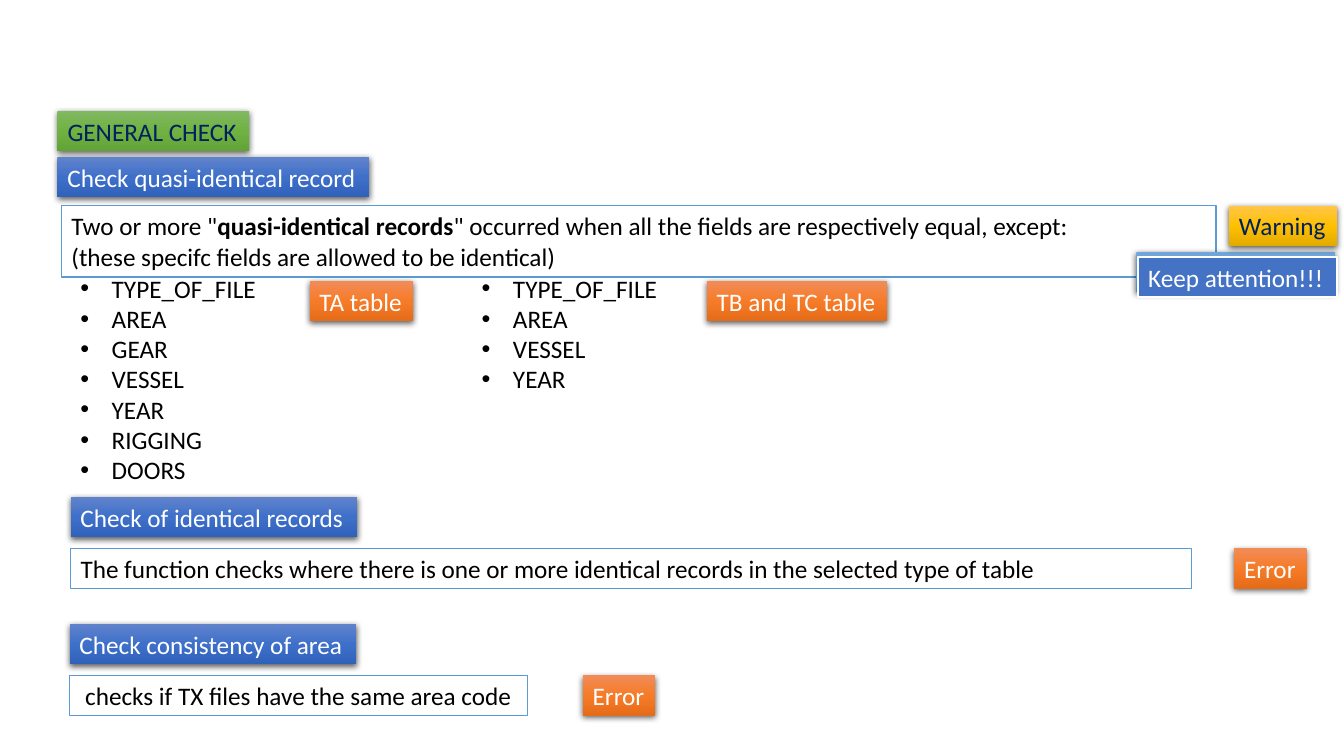
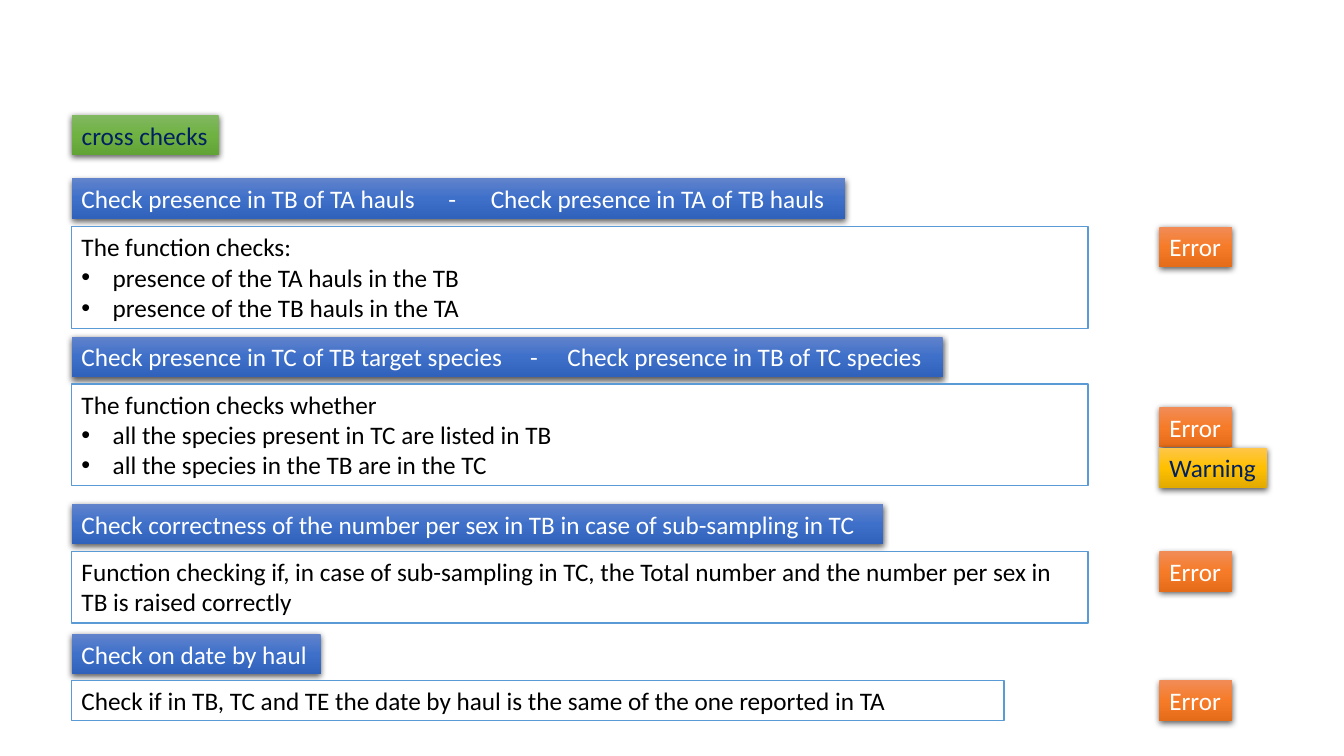
import dataclasses

import pptx
import pptx.dml.color
import pptx.enum.shapes
import pptx.enum.text
import pptx.oxml
import pptx.oxml.ns
import pptx.util
from lxml import etree

Inches = pptx.util.Inches
qn = pptx.oxml.ns.qn
RECT = pptx.enum.shapes.MSO_SHAPE.RECTANGLE


def rgb(value):
    return pptx.dml.color.RGBColor.from_string(value)


@dataclasses.dataclass(frozen=True)
class Theme:
    font: str = "Calibri"
    size: int = 18
    dark: str = "000000"
    navy: str = "002060"
    white: str = "FFFFFF"
    outline: str = "5B9BD5"
    notice: str = "4472C4"
    green: tuple = ("81B861", "6FB242", "62A336")
    blue: tuple = ("6183CB", "3E70CA", "3062BB")
    orange: tuple = ("F18C57", "F67B28", "E56C19")
    gold: tuple = ("FFC64B", "FFC000", "E3AB00")
    sky: tuple = ("71A6DB", "559BDB", "448ACA")
    row: float = 0.4
    indent: float = 0.31


class Deck:
    def __init__(self, theme):
        self.theme = theme
        self.prs = pptx.Presentation()
        self.prs.slide_width, self.prs.slide_height = Inches(13.33), Inches(7.5)
        self.s = None

    def slide(self, title, x, y, w):
        """Start a slide whose title is the green tag."""
        t = self.theme
        self.s = self.prs.slides.add_slide(self.prs.slide_layouts[5])
        sp = self.s.shapes.title
        sp.left, sp.top, sp.width, sp.height = map(Inches, (x, y, w, t.row))
        self.glossy(sp, t.green)
        self.set_text(sp, [title], color=t.navy)

    def rect(self, x, y, w, h):
        sp = self.s.shapes.add_shape(RECT, *map(Inches, (x, y, w, h)))
        sp.shadow.inherit = False
        return sp

    def glossy(self, sp, colors):
        """Fill from top to bottom with three colours and add a soft shadow."""
        sp.fill.gradient()
        sp.fill.gradient_angle = 270
        sp.line.fill.background()
        sp.shadow.inherit = False
        props = sp._element.spPr
        stops = props.find(qn("a:gradFill")).find(qn("a:gsLst"))
        for stop in list(stops):
            stops.remove(stop)
        for pos, color in zip((0, 50000, 100000), colors):
            stop = etree.SubElement(stops, qn("a:gs"), pos=str(pos))
            etree.SubElement(stop, qn("a:srgbClr"), val=color)
        shadow = etree.SubElement(
            props.find(qn("a:effectLst")), qn("a:outerShdw"),
            blurRad=str(pptx.util.Pt(4.5)), dist=str(pptx.util.Pt(1.5)),
            dir="5400000", algn="ctr", rotWithShape="0")
        black = etree.SubElement(shadow, qn("a:srgbClr"), val="000000")
        etree.SubElement(black, qn("a:alpha"), val="63000")

    def set_text(self, sp, lines, color=None, bullets_from=None, tabs=()):
        """Fill a shape; a line is text, or a list of (text, bold) pairs."""
        t = self.theme
        tf = sp.text_frame
        tf.word_wrap = True
        tf.auto_size = pptx.enum.text.MSO_AUTO_SIZE.NONE
        tf.vertical_anchor = pptx.enum.text.MSO_ANCHOR.TOP
        for i, line in enumerate(lines):
            p = tf.paragraphs[0] if i == 0 else tf.add_paragraph()
            p.alignment = pptx.enum.text.PP_ALIGN.LEFT
            p.line_spacing = 1.0
            p.space_before = pptx.util.Pt(0)
            props = p._p.get_or_add_pPr()
            if bullets_from is not None and i >= bullets_from:
                props.set("marL", str(Inches(t.indent)))
                props.set("indent", str(-Inches(t.indent)))
                etree.SubElement(props, qn("a:buFont"), typeface="Arial")
                etree.SubElement(props, qn("a:buChar"), char="•")
            if tabs:
                stops = etree.SubElement(props, qn("a:tabLst"))
                for pos in tabs:
                    etree.SubElement(stops, qn("a:tab"), pos=str(Inches(pos)), algn="l")
            for text, bold in [(line, False)] if isinstance(line, str) else line:
                r = p.add_run()
                r.text = text
                r.font.name, r.font.size, r.font.bold = t.font, pptx.util.Pt(t.size), bold
                r.font.color.rgb = rgb(color or t.dark)

    def tag(self, text, x, y, w, colors, color=None, tabs=()):
        sp = self.rect(x, y, w, self.theme.row)
        self.glossy(sp, colors)
        if text:
            self.set_text(sp, [text], color=color or self.theme.white, tabs=tabs)

    def heading(self, text, x, y, w, tabs=()):
        self.tag(text, x, y, w, self.theme.blue, tabs=tabs)

    def error(self, x, y):
        self.tag("Error", x, y, 0.72, self.theme.orange)

    def warning(self, x, y):
        self.tag("Warning", x, y, 1.07, self.theme.gold, color=self.theme.navy)

    def box(self, lines, x, y, w, h, bullets_from=None):
        sp = self.rect(x, y, w, h)
        sp.fill.solid()
        sp.fill.fore_color.rgb = rgb(self.theme.white)
        sp.line.color.rgb = rgb(self.theme.outline)
        sp.line.width = pptx.util.Pt(1)
        self.set_text(sp, lines, bullets_from=bullets_from)

    def notice(self, text, x, y, w):
        """A flat white-edged label over a glossy bar set slightly up and left."""
        t = self.theme
        self.tag("", x - 0.02, y - 0.05, w, t.sky)
        sp = self.rect(x, y, w, t.row)
        sp.fill.solid()
        sp.fill.fore_color.rgb = rgb(t.notice)
        sp.line.color.rgb = rgb(t.white)
        sp.line.width = pptx.util.Pt(1.5)
        self.set_text(sp, [text], color=t.white)

    def bullets(self, lines, x, y, w, h):
        sp = self.s.shapes.add_textbox(*map(Inches, (x, y, w, h)))
        self.set_text(sp, lines, bullets_from=0)


def general_check(deck):
    t = deck.theme
    deck.slide("GENERAL CHECK", 0.57, 1.1, 1.9)
    deck.heading("Check quasi-identical record", 0.57, 1.56, 3.09)
    deck.box([[('Two or more "', False), ("quasi-identical records", True),
               ('" occurred when all the fields are respectively equal, except:', False)],
              "(these specifc fields are allowed to be identical)"],
             0.61, 2.04, 11.45, 0.71)
    deck.notice("Keep attention!!!", 11.29, 2.55, 1.97)
    deck.warning(12.19, 2.04)

    tables = [
        ("TA table", 3.07, 1.03, 0.7, 2.22,
         ["TYPE_OF_FILE", "AREA", "GEAR", "VESSEL", "YEAR", "RIGGING", "DOORS"]),
        ("TB and TC table", 7.01, 1.79, 4.68, 1.31,
         ["TYPE_OF_FILE", "AREA", "VESSEL", "YEAR"]),
    ]
    for name, tag_x, tag_w, list_x, list_h, fields in tables:
        deck.bullets(fields, list_x, 2.66, 2, list_h)
        deck.tag(name, tag_x, 2.79, tag_w, t.orange)

    checks = [
        ("Check of identical records", 0.7, 4.93, 11.12, 12.24,
         "The function checks where there is one or more identical records"
         " in the selected type of table"),
        ("Check consistency of area", 0.69, 6.19, 4.54, 5.78,
         " checks if TX files have the same area code"),
    ]
    for head, x, y, box_w, error_x, body in checks:
        deck.heading(head, x, y, 2.84)
        deck.box([body], x, y + 0.51, box_w, t.row)
        deck.error(error_x, y + 0.51)


def cross_checks(deck):
    left, right = 0.71, 11.5
    deck.slide("cross checks", left, 1.14, 1.46)
    # heading, its top, width and tab stops; box top, width, height and lines; error top
    checks = [
        ("Check presence in TB of TA hauls\t-\tCheck presence in TA of TB hauls",
         1.77, 7.67, (3.64, 4.06), 2.25, 10.08, 1.01,
         ["The function checks:", "presence of the TA hauls in the TB",
          "presence of the TB hauls in the TA"], 2.25),
        ("Check presence in TC of TB target species\t-\tCheck presence in TB of TC species",
         3.34, 8.64, (4.45, 4.82), 3.81, 10.08, 1.01,
         ["The function checks whether", "all the species present in TC are listed in TB",
          "all the species in the TB are in the TC"], 4.04),
        ("Check correctness of the number per sex in TB in case of sub-sampling in TC",
         5, 8.05, (), 5.47, 10.08, 0.71,
         ["Function checking if, in case of sub-sampling in TC, the Total number and"
          " the number per sex in TB is raised correctly"], 5.47),
        ("Check on date by haul", 6.29, 2.47, (), 6.75, 9.25, 0.4,
         ["Check if in TB, TC and TE the date by haul is the same of the one"
          " reported in TA"], 6.75),
    ]
    for head, head_y, head_w, tabs, box_y, box_w, box_h, lines, error_y in checks:
        deck.heading(head, left, head_y, head_w, tabs)
        deck.box(lines, left, box_y, box_w, box_h, bullets_from=1)
        deck.error(right, error_y)
    deck.warning(right, 4.44)


def main():
    deck = Deck(Theme())
    general_check(deck)
    cross_checks(deck)
    deck.prs.save("out.pptx")


if __name__ == "__main__":
    main()
